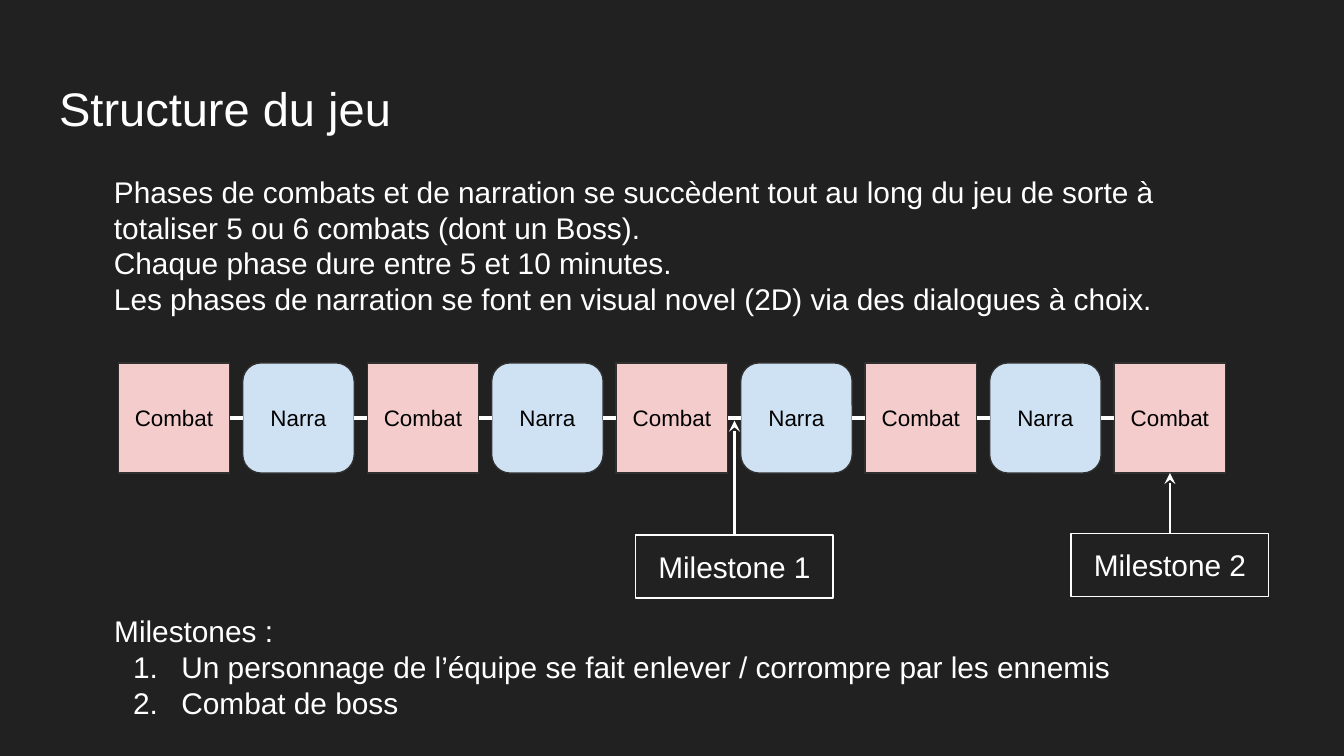
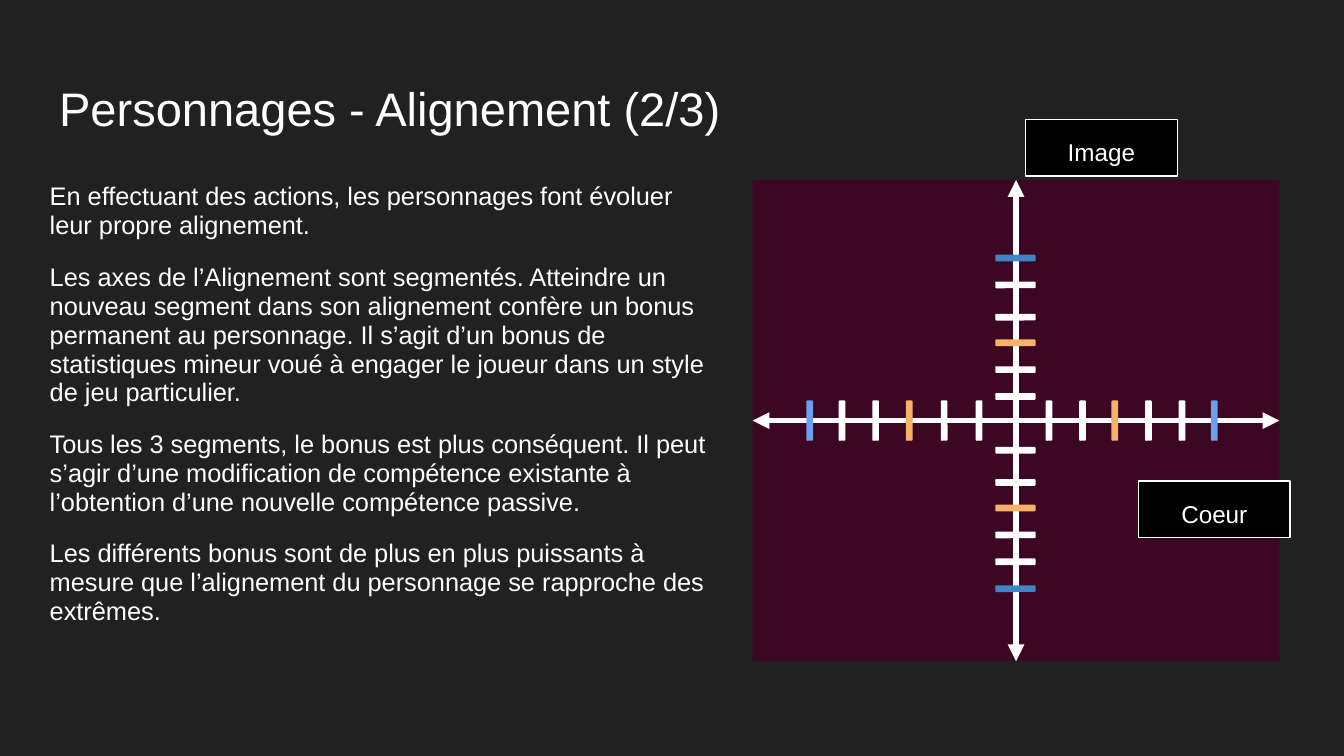
from lxml import etree
from pptx import Presentation
from pptx.dml.color import RGBColor
from pptx.enum.shapes import MSO_CONNECTOR, MSO_SHAPE
from pptx.enum.text import MSO_ANCHOR, MSO_AUTO_SIZE, PP_ALIGN
from pptx.oxml.ns import qn
from pptx.util import Inches, Pt

rgb = RGBColor.from_string
FONT = "Arial"
BACKGROUND = "212121"
WHITE = "FFFFFF"
BLACK = "000000"
COMBAT = "F4CCCC"
NARRA = "CFE2F3"
OUTLINE = "303030"
PLUM = "3B0722"
ORANGE = "F6B26B"
BLUE_X = "6D9EEB"
BLUE_Y = "3D85C6"
TITLE_BOX = (0.34, 0.49, 9.32, 0.63)


def style(sp, at, lines=(), size=16, color=WHITE, fill=None, line=None,
          align=PP_ALIGN.LEFT, anchor=MSO_ANCHOR.TOP):
    sp.left, sp.top, sp.width, sp.height = [Inches(v) for v in at]
    sp.shadow.inherit = False
    if fill:
        sp.fill.solid()
        sp.fill.fore_color.rgb = rgb(fill)
    else:
        sp.fill.background()
    if line:
        sp.line.color.rgb = rgb(line)
        sp.line.width = Pt(0.75)
    else:
        sp.line.fill.background()
    tf = sp.text_frame
    tf.word_wrap = True
    tf.auto_size = MSO_AUTO_SIZE.NONE
    tf.vertical_anchor = anchor
    tf.margin_left = tf.margin_right = tf.margin_top = tf.margin_bottom = Inches(0.1)
    tf.text = "\n".join(lines)
    for p in tf.paragraphs:
        p.alignment = align
        p.space_before = p.space_after = Pt(0)
        for r in p.runs:
            r.font.name = FONT
            r.font.size = Pt(size)
            r.font.color.rgb = rgb(color)
    return sp


def connect(s, x1, y1, x2, y2, width, head=None, tail=None):
    c = s.shapes.add_connector(MSO_CONNECTOR.STRAIGHT, Inches(x1), Inches(y1),
                               Inches(x2), Inches(y2))
    c.line.color.rgb = rgb(WHITE)
    c.line.width = Pt(width)
    ln = c.line._get_or_add_ln()
    for tag, kind in (("a:headEnd", head), ("a:tailEnd", tail)):
        if kind:
            etree.SubElement(ln, qn(tag), type=kind)
    etree.SubElement(c._element.spPr, qn("a:effectLst"))
    return c


prs = Presentation()
prs.slide_width = Inches(10)
prs.slide_height = Inches(10) * 9 // 16
bg = prs.slide_master.background.fill
bg.solid()
bg.fore_color.rgb = rgb(BACKGROUND)
layout = prs.slide_layouts[1]

s = prs.slides.add_slide(layout)
style(s.shapes.title, TITLE_BOX, ["Structure du jeu"], 25.2)

phases = []
for i in range(9):
    if i % 2:
        kind, name, fill = MSO_SHAPE.ROUNDED_RECTANGLE, "Narra", NARRA
    else:
        kind, name, fill = MSO_SHAPE.RECTANGLE, "Combat", COMBAT
    sp = s.shapes.add_shape(kind, 0, 0, 0, 0)
    style(sp, (0.88 + i * 7.41 / 8, 2.7, 0.83, 0.82), [name], 12, BLACK, fill,
          OUTLINE, PP_ALIGN.CENTER, MSO_ANCHOR.MIDDLE)
    phases.append(sp)
for before, after in zip(phases, phases[1:]):
    c = connect(s, 0, 0, 1, 0, 2.25)
    c.begin_connect(before, 3)
    c.end_connect(after, 1)

style(s.shapes.add_textbox(0, 0, 0, 0), (0.75, 1.19, 8.5, 1.28), [
    "Phases de combats et de narration se succèdent tout au long du jeu de sorte à "
    "totaliser 5 ou 6 combats (dont un Boss).",
    "Chaque phase dure entre 5 et 10 minutes.",
    "Les phases de narration se font en visual novel (2D) via des dialogues à choix.",
])

sp = style(s.placeholders[1], (0.75, 4.46, 8.5, 1.01), [
    "Milestones :",
    "Un personnage de l’équipe se fait enlever / corrompre par les ennemis",
    "Combat de boss",
])
for i, p in enumerate(sp.text_frame.paragraphs):
    pPr = p._p.get_or_add_pPr()
    pPr.set("marL", str(Inches(0.5 if i else 0)))
    pPr.set("indent", str(Inches(-0.36 if i else 0)))
    if i:
        clr = etree.SubElement(pPr, qn("a:buClr"))
        etree.SubElement(clr, qn("a:srgbClr"), val=WHITE)
        etree.SubElement(pPr, qn("a:buAutoNum"), type="arabicPeriod")
    else:
        etree.SubElement(pPr, qn("a:buNone"))

for name, x, y, tip, target in (("Milestone 1", 4.73, 3.98, 3.13, None),
                                ("Milestone 2", 7.97, 3.97, 3.52, phases[-1])):
    sp = s.shapes.add_shape(MSO_SHAPE.RECTANGLE, 0, 0, 0, 0)
    style(sp, (x, y, 1.47, 0.47), [name], line=WHITE, align=PP_ALIGN.CENTER)
    middle = x + 1.47 / 2
    c = connect(s, middle, y, middle, tip, 1.5, tail="stealth")
    c.begin_connect(sp, 0)
    if target:
        c.end_connect(target, 2)

s = prs.slides.add_slide(layout)
style(s.shapes.title, TITLE_BOX, ["Personnages - Alignement (2/3)"], 25.2)
sp = style(s.placeholders[1], (0.27, 1.26, 5.13, 3.66), [
    "En effectuant des actions, les personnages font évoluer leur propre alignement.",
    "Les axes de l’Alignement sont segmentés. Atteindre un nouveau segment dans son "
    "alignement confère un bonus permanent au personnage. Il s’agit d’un bonus de "
    "statistiques mineur voué à engager le joueur dans un style de jeu particulier.",
    "Tous les 3 segments, le bonus est plus conséquent. Il peut s’agir d’une "
    "modification de compétence existante à l’obtention d’une nouvelle compétence "
    "passive.",
    "Les différents bonus sont de plus en plus puissants à mesure que l’alignement du "
    "personnage se rapproche des extrêmes.",
], 13.6)
for i, p in enumerate(sp.text_frame.paragraphs):
    p.line_spacing = 0.95
    p.space_before = Pt(12 if i else 0)
    pPr = p._p.get_or_add_pPr()
    pPr.set("marL", "0")
    pPr.set("indent", "0")
    etree.SubElement(pPr, qn("a:buNone"))
p.space_after = Pt(12)

style(s.shapes.add_shape(MSO_SHAPE.RECTANGLE, 0, 0, 0, 0),
      (5.6, 1.34, 3.92, 3.58), fill=PLUM)
connect(s, 7.56, 1.34, 7.56, 4.92, 3, "triangle", "triangle")
connect(s, 5.6, 3.13, 9.52, 3.13, 3, "triangle", "triangle")

for name, x, y in (("Image", 7.63, 0.89), ("Coeur", 8.47, 3.58)):
    sp = s.shapes.add_shape(MSO_SHAPE.RECTANGLE, 0, 0, 0, 0)
    style(sp, (x, y, 1.13, 0.42), [name], 13, WHITE, BLACK, WHITE, PP_ALIGN.CENTER)
    p = sp.text_frame.paragraphs[0]
    p.line_spacing = 1.15
    p.space_after = Pt(12)

x_ticks = (6, 6.24, 6.49, 6.74, 7, 7.26, 7.78, 8.03, 8.27, 8.52, 8.77, 9.01)
y_ticks = (1.77, 1.97, 2.21, 2.4, 2.6, 2.8, 3.2, 3.44, 3.63, 3.83, 4.03, 4.23)
for ticks, extreme, rotation in ((x_ticks, BLUE_X, 0), (y_ticks, BLUE_Y, 90)):
    for i, pos in enumerate(ticks):
        fill = {0: extreme, 11: extreme, 3: ORANGE, 8: ORANGE}.get(i, WHITE)
        x, y = (7.53, pos) if rotation else (pos, 2.98)
        sp = s.shapes.add_shape(MSO_SHAPE.ROUNDED_RECTANGLE, 0, 0, 0, 0)
        style(sp, (x, y, 0.05, 0.3), fill=fill)
        sp.rotation = rotation

prs.save("out.pptx")
